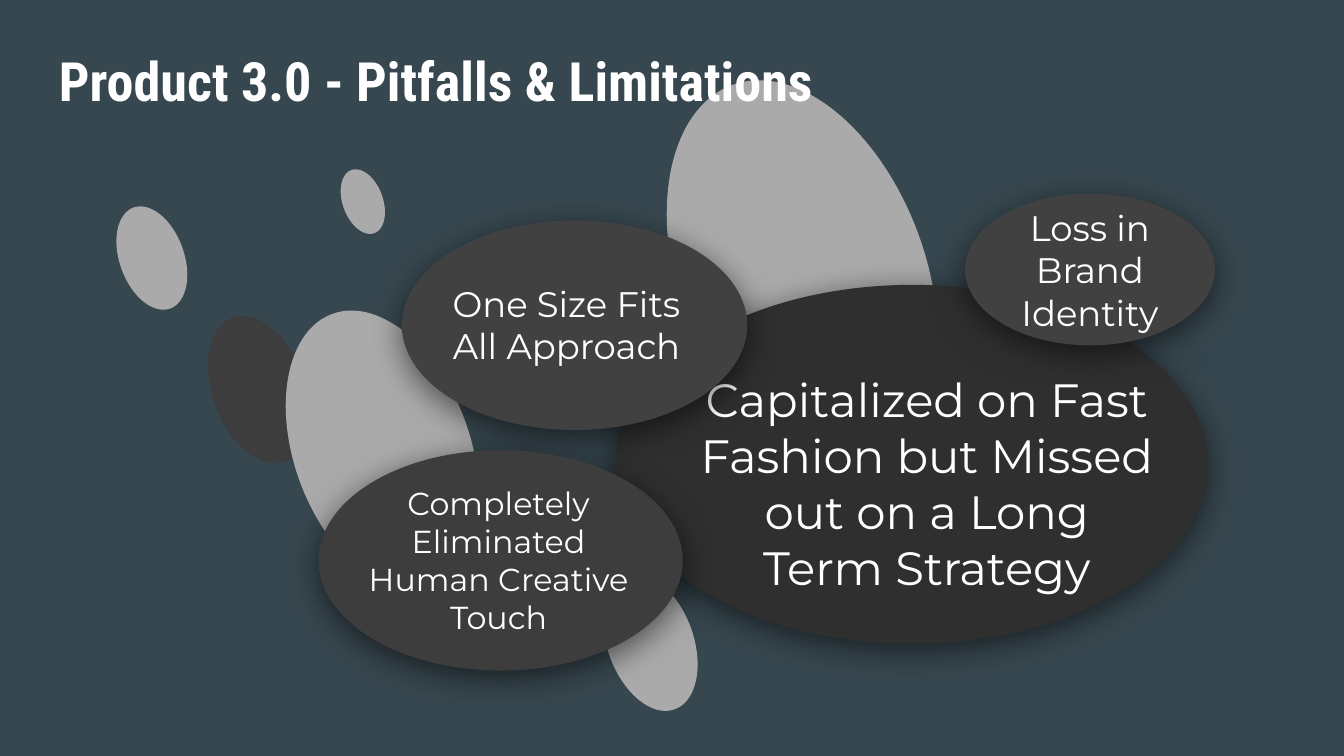
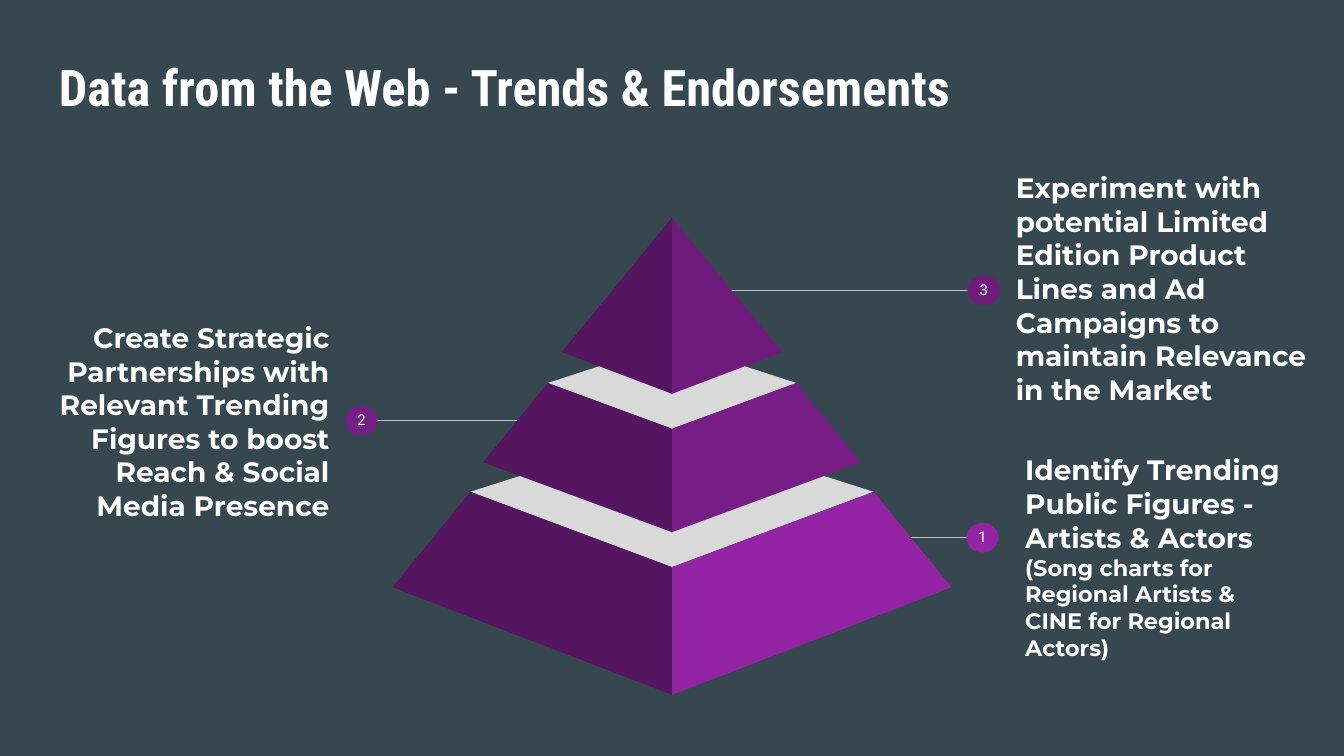
from dataclasses import dataclass

from lxml.etree import SubElement
from pptx import Presentation
from pptx.dml.color import RGBColor
from pptx.enum.shapes import MSO_CONNECTOR, MSO_SHAPE
from pptx.enum.text import MSO_ANCHOR, PP_ALIGN
from pptx.oxml.ns import qn
from pptx.util import Inches, Pt


@dataclass(frozen=True)
class Theme:
    background: str = "37474F"
    text: str = "FFFFFF"
    line: str = "C2C2C2"
    pebble: str = "AAAAAA"
    charcoal: str = "3D3D3D"
    slate: str = "414141"
    black: str = "2F2F2F"
    lid: str = "D9D9D9"
    shade: str = "561561"
    base: str = "9325A5"
    middle: str = "771E86"
    top: str = "701C7F"
    title_font: str = "Roboto Condensed"
    body_font: str = "Montserrat"
    badge_font: str = "Roboto"
    title_large: int = 29
    title_small: int = 27
    bubble_large: int = 25
    bubble_medium: int = 19
    bubble_small: int = 17
    callout: int = 15
    detail: int = 12
    badge: int = 8
    after: int = 16


THEME = Theme()
COLUMNS = 100
CENTRE = COLUMNS / 2


class Painter:
    """Draws on the current page; frames are (column, row, columns, rows) on a square grid."""

    def __init__(self, theme):
        self.theme = theme
        self.deck = Presentation()
        self.deck.slide_width = Inches(10)
        self.deck.slide_height = self.deck.slide_width * 9 // 16
        self.unit = self.deck.slide_width // COLUMNS
        self.page = None

    def grid(self, *lengths):
        return [round(length * self.unit) for length in lengths]

    def new_page(self, title, row, size):
        self.page = self.deck.slides.add_slide(self.deck.slide_layouts[6])
        self.paint(self.page.background.fill, self.theme.background)
        self.text((3.4, row, 93.2, 6.3), [(title, size)], font=self.theme.title_font,
                  bold=True, anchor=MSO_ANCHOR.TOP)

    def paint(self, fill, colour):
        fill.solid()
        fill.fore_color.rgb = RGBColor.from_string(colour)

    def finish(self, shape, colour):
        self.paint(shape.fill, colour)
        shape.line.fill.background()
        shape.shadow.inherit = False
        return shape

    def text(self, frame, paragraphs, font=None, bold=False, align=PP_ALIGN.LEFT,
             anchor=MSO_ANCHOR.MIDDLE, after=0):
        """Paragraphs are (wording, type size) pairs."""
        box = self.page.shapes.add_textbox(*self.grid(*frame)).text_frame
        box.word_wrap = True
        box.vertical_anchor = anchor
        box.margin_left = box.margin_right = box.margin_top = box.margin_bottom = Inches(0.1)
        for index, (wording, size) in enumerate(paragraphs):
            para = box.add_paragraph() if index else box.paragraphs[0]
            para.text = wording
            para.alignment = align
            para.space_after = Pt(after)
            para.font.name = font or self.theme.body_font
            para.font.size = Pt(size)
            para.font.bold = bold
            para.font.color.rgb = RGBColor.from_string(self.theme.text)

    def ellipse(self, frame, colour, rotation=0):
        shape = self.page.shapes.add_shape(MSO_SHAPE.OVAL, *self.grid(*frame))
        shape.rotation = rotation
        return self.finish(shape, colour)

    def bubble(self, frame, colour, text_frame, wording, size):
        shape = self.ellipse(frame, colour)
        effects = shape.element.spPr.find(qn("a:effectLst"))
        shadow = SubElement(effects, qn("a:outerShdw"), blurRad=str(Pt(18)),
                            dist=str(Pt(4)), dir="5400000", algn="bl", rotWithShape="0")
        tint = SubElement(shadow, qn("a:srgbClr"), val="000000")
        SubElement(tint, qn("a:alpha"), val="55000")
        self.text(text_frame, [(wording, size)], align=PP_ALIGN.CENTER)

    def leader(self, start, end, row):
        line = self.page.shapes.add_connector(MSO_CONNECTOR.STRAIGHT,
                                              *self.grid(start, row, end, row))
        line.line.color.rgb = RGBColor.from_string(self.theme.line)
        line.line.width = Pt(0.75)
        SubElement(line.element.spPr, qn("a:effectLst"))

    def badge(self, number, column, row, colour):
        self.ellipse((column - 1.2, row - 1.1, 2.4, 2.2), colour)
        self.text((column - 1.45, row - 1.4, 2.9, 3.4), [(number, self.theme.badge)],
                  font=self.theme.badge_font, align=PP_ALIGN.CENTER,
                  anchor=MSO_ANCHOR.TOP, after=self.theme.after)

    def polygon(self, points, colour):
        start, *others = [self.grid(*point) for point in points]
        builder = self.page.shapes.build_freeform(*start)
        builder.add_line_segments(others, close=True)
        self.finish(builder.convert_to_shape(), colour)

    def tier(self, face, colour, lid_back=None):
        """Face holds (reach from the centre, row) corners: ridge first, then outwards."""
        left, right = ([(CENTRE + side * reach, row) for reach, row in face]
                       for side in (-1, 1))
        if lid_back is not None:
            self.polygon([left[1], left[0], right[1], (CENTRE, lid_back)], self.theme.lid)
        self.polygon(left, self.theme.shade)
        self.polygon(right, colour)


def draw_pitfalls(painter):
    theme = painter.theme
    painter.new_page("Product 3.0 - Pitfalls & Limitations", 2.5, theme.title_large)
    # The title lies above the pebbles.
    title = painter.page.shapes[0].element
    pebbles = [
        ((50.5, 5.4, 18.4, 30.4), theme.pebble),
        ((15.8, 23.3, 6.9, 11.4), theme.charcoal),
        ((25.5, 12.5, 3, 5), theme.pebble),
        ((8.9, 15.2, 4.8, 8), theme.pebble),
        ((21.9, 22.7, 13.1, 21.7), theme.pebble),
        ((45.2, 42.5, 6.4, 10.6), theme.pebble),
    ]
    for frame, colour in pebbles:
        title.addprevious(painter.ellipse(frame, colour, rotation=340).element)

    bubbles = [
        ((45.8, 21.2, 44.1, 26.7), theme.black, (51, 26.7, 35.9, 18.5),
         "Capitalized on Fast Fashion but Missed out on a Long Term Strategy",
         theme.bubble_large),
        ((29.9, 16.4, 25.7, 15.6), theme.slate, (30.9, 19, 22.5, 10.3),
         "One Size Fits All Approach", theme.bubble_medium),
        ((23.7, 33.5, 27.1, 16.4), theme.charcoal, (25.4, 34.7, 23.4, 13.9),
         "Completely Eliminated Human Creative Touch", theme.bubble_small),
        ((71.8, 14.4, 18.6, 11.3), theme.slate, (71.8, 16.3, 18.6, 7.5),
         "Loss in Brand Identity", theme.bubble_medium),
    ]
    for bubble in bubbles:
        painter.bubble(*bubble)


def draw_trends(painter):
    theme = painter.theme
    painter.new_page("Data from the Web - Trends & Endorsements", 3.2, theme.title_small)
    callouts = [
        ("1", 73.1, 40, 67.4, theme.base, (75.3, 33.9, 22.1, 15.1), PP_ALIGN.LEFT, 0,
         [("Identify Trending Public Figures - Artists & Actors", theme.callout),
          ("(Song charts for Regional Artists & CINE for Regional Actors)", theme.detail)]),
        ("2", 26.9, 31.3, 38.9, theme.middle, (3.4, 23.8, 22.1, 15.1), PP_ALIGN.RIGHT,
         theme.after,
         [("Create Strategic Partnerships with Relevant Trending Figures "
           "to boost Reach & Social Media Presence", theme.callout)]),
        ("3", 73.2, 21.6, 54, theme.top, (74.6, 13.9, 24.7, 15.1), PP_ALIGN.LEFT,
         theme.after,
         [("Experiment with potential Limited Edition Product Lines and Ad Campaigns "
           "to maintain Relevance in the Market", theme.callout)]),
    ]
    for number, column, row, tier_edge, colour, frame, align, after, paragraphs in callouts:
        painter.leader(tier_edge, column, row)
        painter.text(frame, paragraphs, bold=True, align=align, after=after)
        painter.badge(number, column, row, colour)

    painter.tier([(0, 42.2), (15, 36.6), (20.8, 43.7), (0, 51.7)], theme.base, lid_back=31.8)
    painter.tier([(0, 31.9), (9.25, 28.5), (14.05, 34.4), (0, 39.6)], theme.middle,
                 lid_back=25.5)
    painter.tier([(0, 16.2), (8.2, 26.2), (0, 29.3)], theme.top)


def main():
    painter = Painter(THEME)
    draw_pitfalls(painter)
    draw_trends(painter)
    painter.deck.save("out.pptx")


if __name__ == "__main__":
    main()
